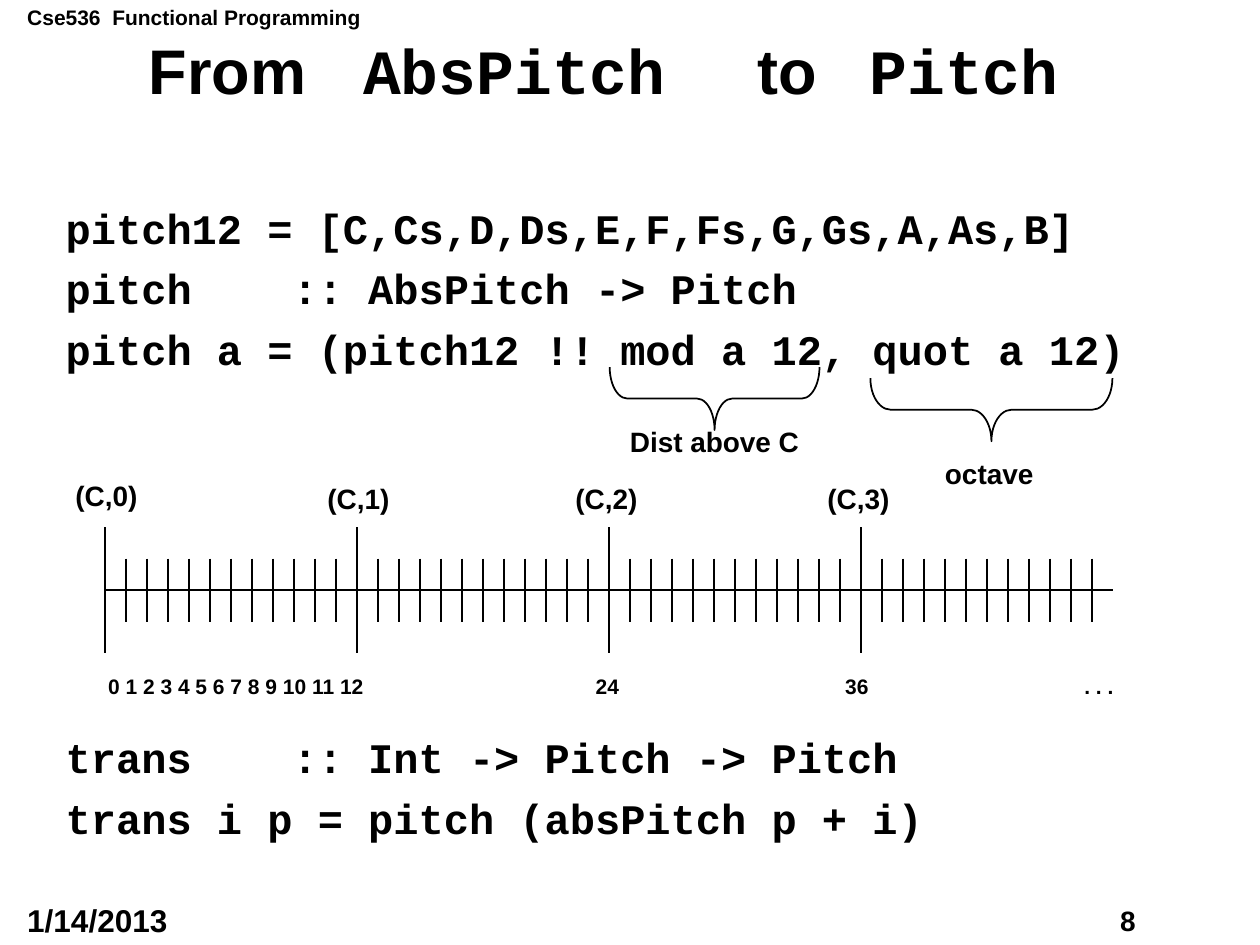
from dataclasses import dataclass
from typing import Any

from lxml.etree import SubElement
from pptx import Presentation
from pptx.dml.color import RGBColor
from pptx.enum.shapes import MSO_CONNECTOR as Connector, MSO_SHAPE as Preset
from pptx.enum.text import MSO_ANCHOR as Anchor, MSO_AUTO_SIZE as AutoSize, PP_ALIGN as Align
from pptx.oxml.ns import qn
from pptx.util import Cm, Pt

BLACK = "000000"
SANS = "Arial"
MONO = "Courier New"
AXIS_LEFT = 2.12
AXIS_Y = 11.9
OCTAVE_WIDTH = 5.08
SEMITONES = 12


@dataclass(frozen=True)
class Label:
    text: str
    left: float
    top: float
    width: float
    height: float
    size: int = 16
    tabs: tuple[float, ...] = ()


@dataclass(frozen=True)
class Brace:
    left: float
    top: float
    width: float
    height: float
    curve: float


@dataclass(frozen=True)
class CodeLine:
    text: str
    space_before: float


LABELS = [
    Label("Cse536  Functional Programming", 0.3, -0.03, 7.24, 0.76, 12),
    Label("8", 22.33, 18.08, 1.19, 0.91),
    Label("1/14/2013", 0.3, 18.03, 3.68, 1.02, 18),
    Label("0 1 2 3 4 5 6 7 8 9 10 11 12\t24\t36\t. . .", 1.93, 13.46, 21.77, 0.76, 12,
          (9.83, 14.86, 19.68)),
    Label("(C,0)", 1.27, 9.53, 1.78, 0.94),
    Label("(C,1)", 6.35, 9.58, 1.78, 0.94),
    Label("(C,2)", 11.35, 9.58, 1.78, 0.94),
    Label("(C,3)", 16.43, 9.58, 1.78, 0.94),
    Label("octave", 18.8, 9.07, 2.29, 0.94),
    Label("Dist above C", 12.45, 8.43, 3.94, 0.94),
]
BRACES = [
    Brace(19.35, 5.82, 1.27, 4.88, 0.32),
    Brace(13.77, 5.92, 1.27, 4.23, 0.28),
]
CODE = [
    CodeLine("pitch12 = [C,Cs,D,Ds,E,F,Fs,G,Gs,A,As,B]", 0),
    CodeLine("pitch    :: AbsPitch -> Pitch", 8.66),
    CodeLine("pitch a = (pitch12 !! mod a 12, quot a 12)", 8.66),
    CodeLine("trans    :: Int -> Pitch -> Pitch", 207.5),
    CodeLine("trans i p = pitch (absPitch p + i)", 8.66),
]
TITLE = [("From\t", SANS), ("AbsPitch\t", MONO), ("to\t", SANS), ("Pitch", MONO)]
TITLE_TABS = (4.32, 12.28, 14.53)


def color(value: str) -> RGBColor:
    return RGBColor.from_string(value)


def apply(target: Any, values: dict[str, Any]) -> None:
    for name, value in values.items():
        setattr(target, name, value)


def place(shape: Any, left: float, top: float, width: float, height: float) -> None:
    apply(shape, {"left": Cm(left), "top": Cm(top), "width": Cm(width), "height": Cm(height)})


def add_tabs(paragraph: Any, positions: tuple[float, ...]) -> None:
    tab_list = SubElement(paragraph._p.get_or_add_pPr(), qn("a:tabLst"))
    for position in positions:
        SubElement(tab_list, qn("a:tab"), pos=str(Cm(position)), algn="l")


def format_font(font: Any, name: str, size: int) -> None:
    apply(font, {"name": name, "size": Pt(size), "bold": True})
    font.color.rgb = color(BLACK)


def draw_label(slide: Any, label: Label) -> None:
    box = slide.shapes.add_textbox(
        Cm(label.left), Cm(label.top), Cm(label.width), Cm(label.height))
    box.text_frame.word_wrap = bool(label.tabs)
    paragraph = box.text_frame.paragraphs[0]
    if label.tabs:
        add_tabs(paragraph, label.tabs)
    run = paragraph.add_run()
    run.text = label.text
    format_font(run.font, SANS, label.size)


def draw_line(slide: Any, x1: float, y1: float, x2: float, y2: float) -> None:
    line = slide.shapes.add_connector(Connector.STRAIGHT, Cm(x1), Cm(y1), Cm(x2), Cm(y2))
    line.line.width = Pt(1)
    line.line.color.rgb = color(BLACK)
    SubElement(line._element.spPr, qn("a:effectLst"))


def draw_octave(slide: Any, left: float) -> None:
    draw_line(slide, left, AXIS_Y, left + OCTAVE_WIDTH, AXIS_Y)
    for semitone in range(SEMITONES):
        x = left + semitone * OCTAVE_WIDTH / SEMITONES
        reach = 0.64 if semitone else 1.27
        draw_line(slide, x, AXIS_Y - reach, x, AXIS_Y + reach)


def draw_brace(slide: Any, brace: Brace) -> None:
    shape = slide.shapes.add_shape(
        Preset.RIGHT_BRACE, Cm(brace.left), Cm(brace.top), Cm(brace.width), Cm(brace.height))
    shape.rotation = 90
    shape.adjustments[0] = brace.curve
    shape.shadow.inherit = False
    shape.fill.background()
    shape.line.width = Pt(1)
    shape.line.color.rgb = color(BLACK)


def fill_title(title: Any) -> None:
    place(title, 0.79, 0.79, 22.94, 1.42)
    apply(title.text_frame, {"auto_size": AutoSize.NONE, "vertical_anchor": Anchor.MIDDLE,
                             "margin_left": Cm(2.21)})
    paragraph = title.text_frame.paragraphs[0]
    add_tabs(paragraph, TITLE_TABS)
    apply(paragraph, {"alignment": Align.LEFT, "line_spacing": 0.9})
    for text, font_name in TITLE:
        run = paragraph.add_run()
        run.text = text
        format_font(run.font, font_name, 36)


def fill_code(body: Any) -> None:
    place(body, 1.07, 4.06, 22.66, 14.12)
    frame = body.text_frame
    apply(frame, {"auto_size": AutoSize.NONE, "vertical_anchor": Anchor.TOP})
    for index, line in enumerate(CODE):
        paragraph = frame.add_paragraph() if index else frame.paragraphs[0]
        properties = paragraph._p.get_or_add_pPr()
        properties.set("marL", "0")
        properties.set("indent", "0")
        SubElement(properties, qn("a:buNone"))
        apply(paragraph, {"line_spacing": 0.9, "space_before": Pt(line.space_before)})
        run = paragraph.add_run()
        run.text = line.text
        format_font(run.font, MONO, 24)


def main() -> None:
    presentation = Presentation()
    apply(presentation, {"slide_width": Cm(25.4), "slide_height": Cm(19.05)})
    slide = presentation.slides.add_slide(presentation.slide_layouts[1])
    fill_title(slide.shapes.title)
    fill_code(slide.placeholders[1])
    for octave in range(4):
        draw_octave(slide, AXIS_LEFT + octave * OCTAVE_WIDTH)
    for brace in BRACES:
        draw_brace(slide, brace)
    for label in LABELS:
        draw_label(slide, label)
    presentation.save("out.pptx")


if __name__ == "__main__":
    main()
